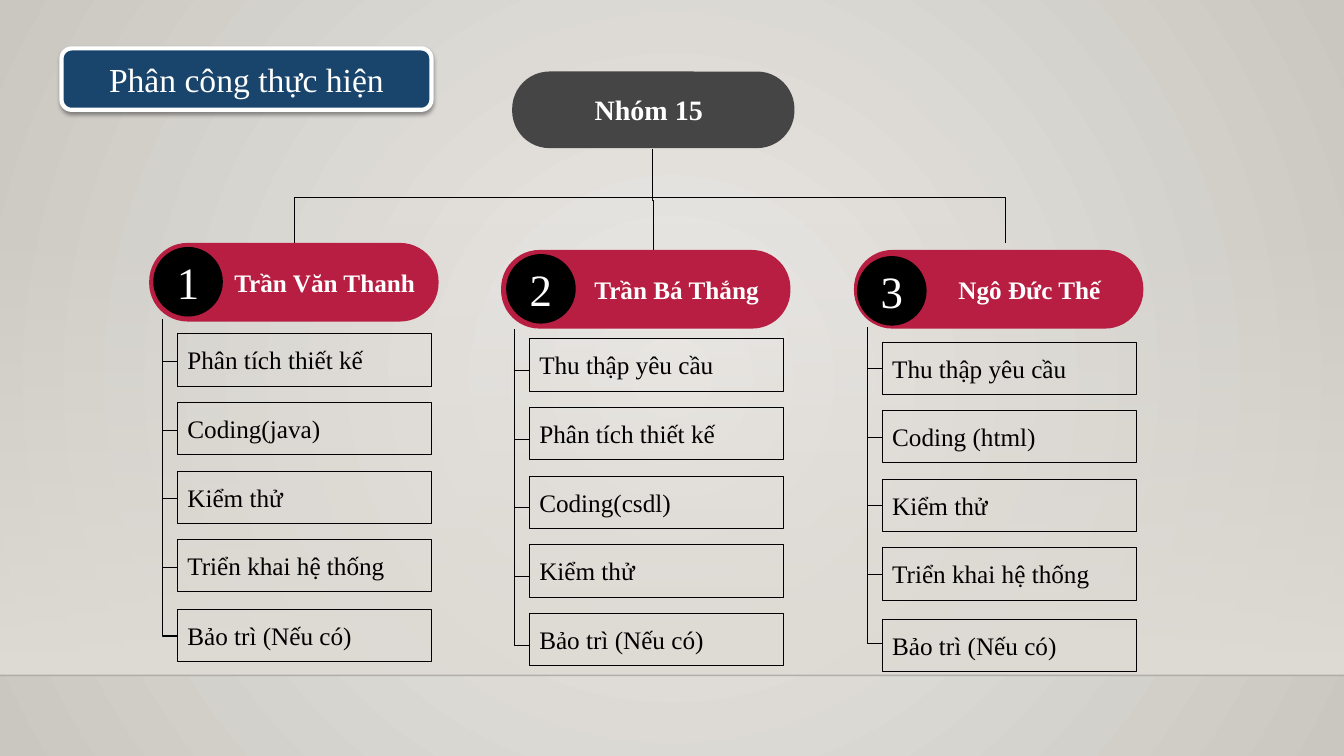
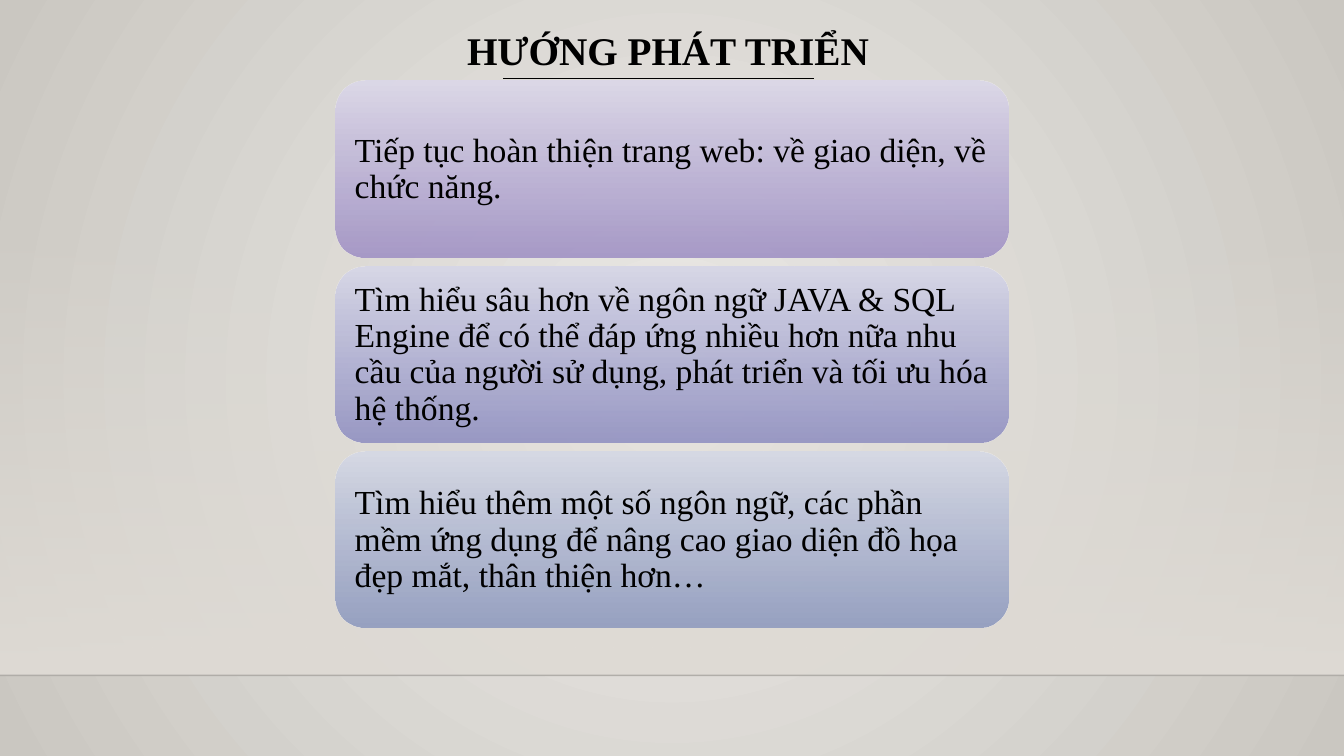
from collections import namedtuple

from pptx import Presentation
from pptx.dml.color import RGBColor
from pptx.enum.shapes import MSO_CONNECTOR as CONN, MSO_SHAPE as SHAPE
from pptx.enum.text import MSO_ANCHOR as ANCHOR, MSO_AUTO_SIZE, PP_ALIGN as ALIGN
from pptx.oxml import parse_xml
from pptx.oxml.ns import nsdecls, qn
from pptx.util import Inches, Pt

FONT = "Times New Roman"
BLACK = RGBColor(0x00, 0x00, 0x00)
WHITE = RGBColor(0xFF, 0xFF, 0xFF)
CRIMSON = RGBColor(0xB7, 0x1E, 0x42)
CHARCOAL = RGBColor(0x45, 0x45, 0x45)
NAVY = RGBColor(0x19, 0x45, 0x6D)
PAPER = RGBColor(0xEC, 0xEA, 0xE7)
STONE = RGBColor(0xCA, 0xC7, 0xC1)
SAND = RGBColor(0xDF, 0xDB, 0xD5)
LILAC, PURPLE = RGBColor(0xDC, 0xD8, 0xE8), RGBColor(0xA3, 0x95, 0xC6)
MIST, VIOLET = RGBColor(0xD7, 0xD7, 0xE7), RGBColor(0x94, 0x94, 0xC3)
HAZE, SLATE = RGBColor(0xD6, 0xD9, 0xE5), RGBColor(0x92, 0x9D, 0xC0)

LINEAR = '<a:lin ang="5400000" scaled="0"/>'
RADIAL = ('<a:path path="circle"><a:fillToRect l="50000" t="50000" '
          'r="50000" b="50000"/></a:path>')
PILL_ROUNDING = 0.488
ROW_PITCH = 0.68

# left: task boxes; first: top of the first box; drop: extra gap above the last
Member = namedtuple("Member", "name left first drop spine pill_top badge tasks")
MEMBERS = [
    Member("Trần Văn Thanh", 1.76, 3.31, 0.01, 3.17, 2.41, (1.52, 2.45),
           ["Phân tích thiết kế", "Coding(java)", "Kiểm thử",
            "Triển khai hệ thống", "Bảo trì (Nếu có)"]),
    Member("Trần Bá Thắng", 5.25, 3.36, 0, 3.26, 2.48, (5.02, 2.52),
           ["Thu thập yêu cầu", "Phân tích thiết kế", "Coding(csdl)",
            "Kiểm thử", "Bảo trì (Nếu có)"]),
    Member("Ngô Đức Thế", 8.75, 3.39, 0.03, 3.24, 2.48, (8.5, 2.54),
           ["Thu thập yêu cầu", "Coding (html)", "Kiểm thử",
            "Triển khai hệ thống", "Bảo trì (Nếu có)"]),
]

PLANS = [
    ("Tiếp tục hoàn thiện trang web: về giao diện, về chức năng.",
     LILAC, PURPLE),
    ("Tìm hiểu sâu hơn về ngôn ngữ JAVA & SQL Engine để có thể đáp ứng nhiều "
     "hơn nữa nhu cầu của người sử dụng, phát triển và tối ưu hóa hệ thống.",
     MIST, VIOLET),
    ("Tìm hiểu thêm một số ngôn ngữ, các phần mềm ứng dụng để nâng cao giao "
     "diện đồ họa đẹp mắt, thân thiện hơn…", HAZE, SLATE),
]


def set_gradient(props, stops, direction=LINEAR):
    """Swap the solid fill in props for stops of (position, colour, alpha)."""
    items = "".join(
        f'<a:gs pos="{pos * 1000}"><a:srgbClr val="{color}">'
        f'<a:alpha val="{alpha * 1000}"/></a:srgbClr></a:gs>'
        for pos, color, alpha in stops)
    grad = parse_xml(f'<a:gradFill {nsdecls("a")} rotWithShape="1">'
                     f'<a:gsLst>{items}</a:gsLst>{direction}</a:gradFill>')
    props.replace(props.find(qn("a:solidFill")), grad)


def add_box(shapes, kind, at, fill=None, line=None, width=0.25, rounding=None):
    sp = shapes.add_shape(kind, *map(Inches, at))
    sp.shadow.inherit = False
    if rounding is not None:
        sp.adjustments[0] = rounding
    if fill is None:
        sp.fill.background()
    else:
        sp.fill.solid()
        sp.fill.fore_color.rgb = fill
    if line is None:
        sp.line.fill.background()
    else:
        sp.line.color.rgb = line
        sp.line.width = Pt(width)
    return sp


def write(sp, text, size, color=BLACK, bold=False, align=ALIGN.LEFT,
          anchor=ANCHOR.MIDDLE):
    tf = sp.text_frame
    tf.word_wrap = True
    tf.vertical_anchor = anchor
    p = tf.paragraphs[0]
    p.text = text
    p.alignment = align
    p.font.name, p.font.size, p.font.bold = FONT, Pt(size), bold
    p.font.color.rgb = color
    return tf


def add_line(shapes, start, end, kind=CONN.STRAIGHT, width=0.75):
    line = shapes.add_connector(kind, *map(Inches, start + end))
    line.line.color.rgb = BLACK
    line.line.width = Pt(width)
    line.element.spPr.append(parse_xml(f'<a:effectLst {nsdecls("a")}/>'))
    return line


def add_corner(shapes, start, end):
    """A line that runs sideways from start, then turns once to end."""
    line = add_line(shapes, start, end, CONN.ELBOW)
    line.element.spPr.find(qn("a:prstGeom")).set("prst", "bentConnector2")


def add_pill(shapes, text, at, fill, size, align):
    sp = add_box(shapes, SHAPE.ROUNDED_RECTANGLE, at, fill,
                 rounding=PILL_ROUNDING)
    write(sp, text, size, WHITE, True, align).margin_left = Inches(0.71)


def add_backdrop(layout, slide):
    """Put the background, the floor band and the floor line on the layout."""
    layout.background.fill.solid()
    set_gradient(layout.element.find(".//" + qn("p:bgPr")),
                 [(0, PAPER, 100), (100, STONE, 100)], RADIAL)
    band = add_box(slide.shapes, SHAPE.RECTANGLE, (0, 2.21, 13.33, 4.49), SAND)
    set_gradient(band.element.spPr, [(0, SAND, 0), (100, SAND, 100)])
    floor = add_line(slide.shapes, (0, 6.7), (13.33, 6.7), width=1)
    ink = floor.element.spPr.find(".//" + qn("a:srgbClr"))
    ink.append(parse_xml(f'<a:alpha {nsdecls("a")} val="20000"/>'))
    for part in (band, floor):
        layout.shapes.element.append(part.element)


def add_member(shapes, number, member):
    spine_x = member.left - 0.15
    last = len(member.tasks) - 1
    for i, task in enumerate(member.tasks):
        top = member.first + i * ROW_PITCH + (member.drop if i == last else 0)
        sp = add_box(shapes, SHAPE.RECTANGLE, (member.left, top, 2.52, 0.52),
                     line=BLACK)
        write(sp, task, 18)
        add_corner(shapes, (member.left, member.spine + 0.42 + i * ROW_PITCH),
                   (spine_x, member.spine))
    add_pill(shapes, member.name,
             (member.left - 0.28, member.pill_top, 2.87, 0.78),
             CRIMSON, 18, ALIGN.CENTER)
    badge = add_box(shapes, SHAPE.OVAL, member.badge + (0.69, 0.69), BLACK)
    write(badge, str(number), 32, WHITE, align=ALIGN.CENTER)


def add_label(shapes, text):
    sp = add_box(shapes, SHAPE.ROUNDED_RECTANGLE, (0.61, 0.48, 3.67, 0.61),
                 NAVY, WHITE, 3)
    write(sp, text, 24, WHITE, align=ALIGN.CENTER).word_wrap = False
    sp.element.spPr.find(qn("a:effectLst")).append(parse_xml(
        f'<a:outerShdw {nsdecls("a")} blurRad="{Pt(3.1)}" dist="{Pt(1.6)}" '
        'dir="5400000" rotWithShape="0"><a:srgbClr val="000000">'
        '<a:alpha val="38000"/></a:srgbClr></a:outerShdw>'))


def build_team(slide):
    shapes = slide.shapes
    # Lines from the team to its members
    add_corner(shapes, (5.31, 1.96), (9.97, 2.41))
    stem = add_line(shapes, (6.98, 1.98), (5.97, 1.99), CONN.ELBOW)
    stem.element.spPr.find(qn("a:xfrm")).set("rot", "16200000")
    add_corner(shapes, (7.49, 1.96), (2.92, 2.41))

    for number, member in enumerate(MEMBERS, 1):
        add_member(shapes, number, member)
    add_pill(shapes, "Nhóm 15", (5.08, 0.71, 2.8, 0.76), CHARCOAL, 20,
             ALIGN.LEFT)
    add_label(shapes, "Phân công thực hiện")


def build_plans(slide):
    # Underlined heading
    heading = slide.shapes.add_textbox(*map(Inches, (3.71, 0.21, 5.83, 0.57)))
    tf = write(heading, "HƯỚNG PHÁT TRIỂN", 28, bold=True, align=ALIGN.CENTER,
               anchor=ANCHOR.TOP)
    tf.auto_size = MSO_AUTO_SIZE.SHAPE_TO_FIT_TEXT
    add_line(slide.shapes, (4.99, 0.78), (8.07, 0.78))

    # Stacked panels
    shapes = slide.shapes.add_group_shape().shapes
    for i, (text, light, dark) in enumerate(PLANS):
        top = 0.8 + i * 1.84
        panel = add_box(shapes, SHAPE.ROUNDED_RECTANGLE,
                        (3.33, top, 6.67, 1.75), light)
        set_gradient(panel.element.spPr, [(0, light, 100), (100, dark, 92)])
        box = shapes.add_textbox(*map(Inches, (3.42, top + 0.09, 6.5, 1.58)))
        tf = write(box, text, 24)
        tf.margin_top = tf.margin_bottom = Inches(0.1)
        tf.paragraphs[0].line_spacing = 0.9


def main():
    prs = Presentation()
    prs.slide_width, prs.slide_height = Inches(13.33), Inches(7.5)
    blank = prs.slide_layouts[6]
    team, plans = (prs.slides.add_slide(blank) for _ in range(2))
    add_backdrop(blank, team)
    build_team(team)
    build_plans(plans)
    prs.save("out.pptx")


main()
